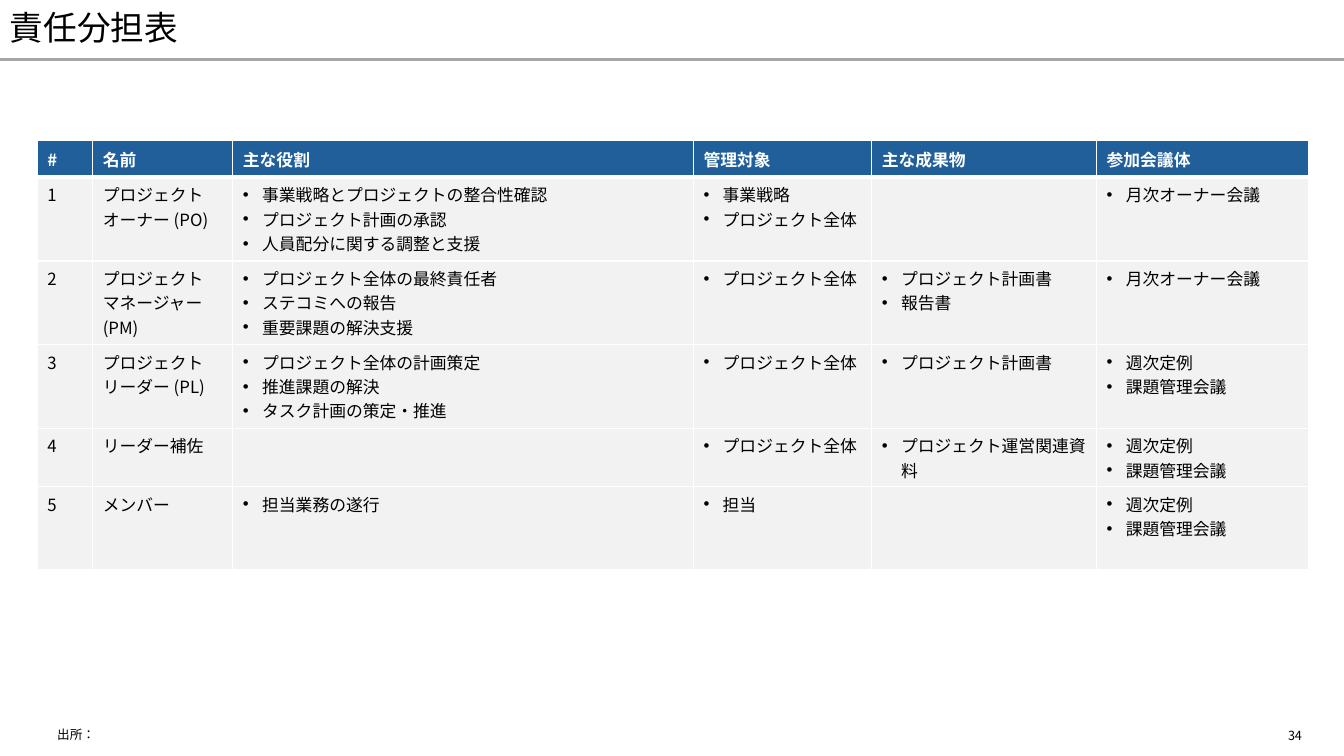
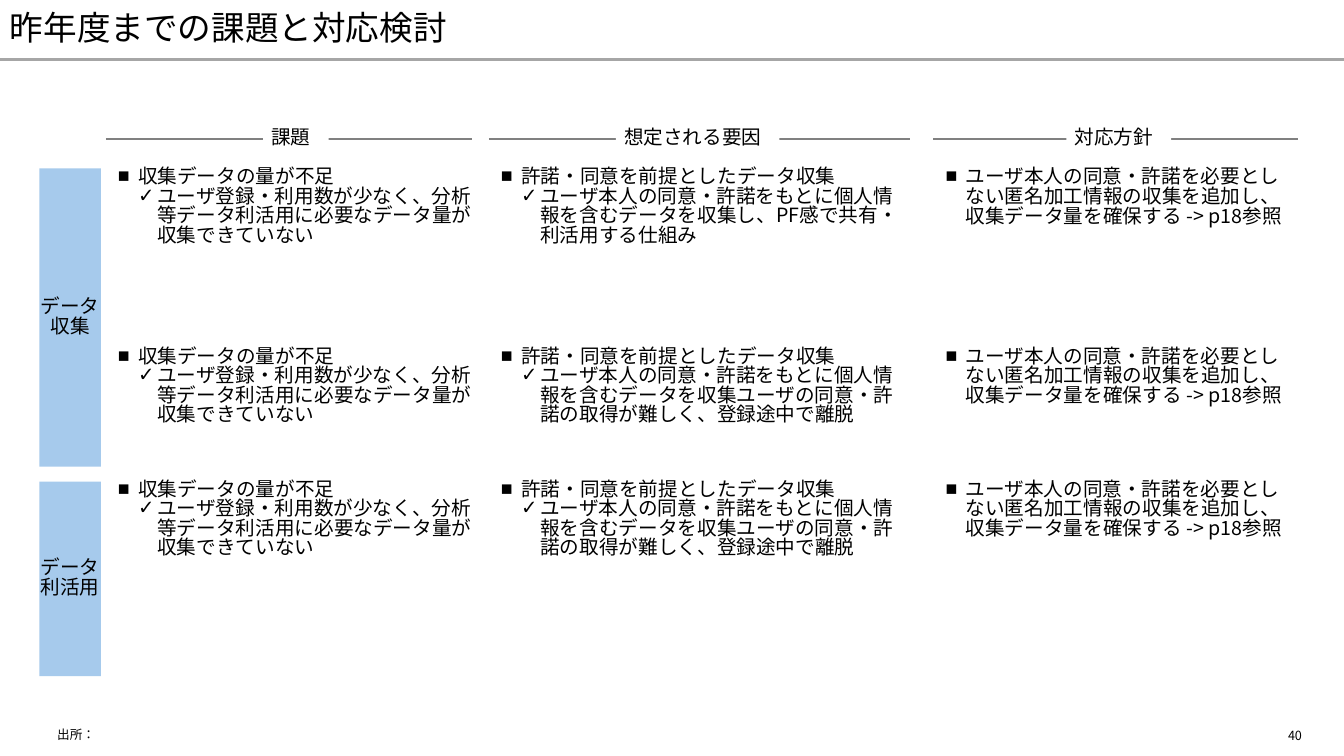
from lxml.etree import SubElement
from pptx import Presentation
from pptx.dml.color import RGBColor
from pptx.enum.shapes import MSO_CONNECTOR, MSO_SHAPE
from pptx.enum.text import MSO_ANCHOR, PP_ALIGN
from pptx.oxml.ns import qn
from pptx.util import Inches, Pt

COLORS = {
    "text": "000000",
    "white": "FFFFFF",
    "title_rule": "A6A6A6",
    "column_rule": "808080",
    "header": "215F9A",
    "cell": "F2F2F2",
    "category": "A6CAEC",
}
FONT = "Noto Sans CJK JP"
BULLET_FONT = "Arial"
# Left margin and hanging indent of each bullet, in percent of the slide width
BULLETS = {"•": (1.43, 1.43), "■": (1.5, 1.5), "✓": (2.93, 1.43)}
TIGHT = 0.83


def color(name):
    return RGBColor.from_string(COLORS[name])


class Deck:
    """Holds the style and the current page; lengths are percent of the slide size."""

    def __init__(self):
        self.presentation = Presentation()
        self.presentation.slide_width = Inches(13.333)
        self.presentation.slide_height = Inches(7.5)
        self.page = None

    def x(self, share):
        return round(self.presentation.slide_width * share / 100)

    def y(self, share):
        return round(self.presentation.slide_height * share / 100)

    def area(self, left, top, width, height):
        return self.x(left), self.y(top), self.x(width), self.y(height)

    def add_page(self, title, number):
        """Start a page with the shared title, rule and footer."""
        self.page = self.presentation.slides.add_slide(self.presentation.slide_layouts[6])
        self.line(0, 100, 7.87, "title_rule", 2.25)
        self.text((0, 0, 100, 7.87), [title], 24, spacing=0.9, anchor=MSO_ANCHOR.MIDDLE)
        self.text((3.52, 95.6, 82.65, 3.2), ["出所："], 9, anchor=MSO_ANCHOR.MIDDLE)
        self.text((95.1, 95.6, 4.4, 3.2), [number], 9)

    def add_bullet(self, paragraph, mark):
        margin, hanging = BULLETS[mark]
        properties = paragraph._p.get_or_add_pPr()
        properties.set("marL", str(self.x(margin)))
        properties.set("indent", str(-self.x(hanging)))
        SubElement(properties, qn("a:buFont")).set("typeface", BULLET_FONT)
        SubElement(properties, qn("a:buChar")).set("char", mark)

    def fill_text(self, frame, lines, size, fill="text", bold=False, align=None,
                  spacing=None, marks=""):
        """Write the lines as paragraphs; the last mark serves all further lines."""
        frame.text = "\n".join(lines)
        for index, paragraph in enumerate(frame.paragraphs):
            if spacing:
                paragraph.line_spacing = spacing
            if align is not None:
                paragraph.alignment = align
            if marks and lines:
                self.add_bullet(paragraph, marks[min(index, len(marks) - 1)])
            for span in paragraph.runs:
                span.font.size = Pt(size)
                span.font.bold = bold
                span.font.color.rgb = color(fill)
                span.font.name = FONT
                properties = span._r.get_or_add_rPr()
                properties.set("lang", "ja-JP")
                SubElement(properties, qn("a:ea")).set("typeface", FONT)

    def remove_insets(self, frame):
        frame.margin_left = frame.margin_right = 0
        frame.margin_top = frame.margin_bottom = 0

    def text(self, area, lines, size, anchor=MSO_ANCHOR.TOP, inset=True, **style):
        box = self.page.shapes.add_textbox(*self.area(*area))
        frame = box.text_frame
        frame.word_wrap = True
        frame.vertical_anchor = anchor
        if not inset:
            self.remove_insets(frame)
        self.fill_text(frame, lines, size, **style)

    def block(self, area, text, fill, align, wrap=True, left_inset=0):
        """Draw a filled rectangle with 14 point text."""
        box = self.page.shapes.add_shape(MSO_SHAPE.RECTANGLE, *self.area(*area))
        box.shadow.inherit = False
        box.fill.solid()
        box.fill.fore_color.rgb = color(fill)
        box.line.fill.background()
        frame = box.text_frame
        self.remove_insets(frame)
        frame.margin_left = self.x(left_inset)
        frame.word_wrap = wrap
        frame.vertical_anchor = MSO_ANCHOR.MIDDLE
        self.fill_text(frame, [text], 14, align=align, spacing=TIGHT)

    def line(self, left, right, top, fill, width):
        rule = self.page.shapes.add_connector(
            MSO_CONNECTOR.STRAIGHT, self.x(left), self.y(top), self.x(right), self.y(top))
        rule.line.color.rgb = color(fill)
        rule.line.width = Pt(width)
        SubElement(rule._element.spPr, qn("a:effectLst"))

    def cell_borders(self, cell, top, bottom):
        properties = cell._tc.get_or_add_tcPr()
        widths = {"a:lnL": 1, "a:lnR": 1, "a:lnT": top, "a:lnB": bottom}
        for position, (side, width) in enumerate(widths.items()):
            border = SubElement(properties, qn(side))
            border.set("w", str(Pt(width)))
            solid = SubElement(border, qn("a:solidFill"))
            SubElement(solid, qn("a:srgbClr")).set("val", COLORS["white"])
            properties.insert(position, border)

    def table(self, left, top, widths, heights, headers, rows):
        """Draw a table whose cells are lists of lines, bulleted from the third column."""
        area = self.area(left, top, sum(widths), sum(heights))
        table = self.page.shapes.add_table(len(heights), len(widths), *area).table
        for column, width in zip(table.columns, widths):
            column.width = self.x(width)
        for row, height in zip(table.rows, heights):
            row.height = self.y(height)
        for row_index, row in enumerate([[[header] for header in headers], *rows]):
            is_header = row_index == 0
            for column_index, lines in enumerate(row):
                cell = table.cell(row_index, column_index)
                cell.fill.solid()
                cell.fill.fore_color.rgb = color("header" if is_header else "cell")
                if is_header:
                    cell.vertical_anchor = MSO_ANCHOR.MIDDLE
                self.cell_borders(cell, 3 if row_index == 1 else 1, 3 if is_header else 1)
                self.fill_text(
                    cell.text_frame, lines, 12,
                    fill="white" if is_header else "text", bold=is_header,
                    marks="•" if column_index > 1 and not is_header else "")


def add_responsibility_page(deck):
    whole = ["プロジェクト全体"]
    plan = "プロジェクト計画書"
    owner_meeting = ["月次オーナー会議"]
    team_meetings = ["週次定例", "課題管理会議"]
    members = [
        (["プロジェクト", "オーナー (PO)"],
         ["事業戦略とプロジェクトの整合性確認", "プロジェクト計画の承認", "人員配分に関する調整と支援"],
         ["事業戦略", *whole], [], owner_meeting),
        (["プロジェクト", "マネージャー (PM)"],
         ["プロジェクト全体の最終責任者", "ステコミへの報告", "重要課題の解決支援"],
         whole, [plan, "報告書"], owner_meeting),
        (["プロジェクト", "リーダー (PL)"],
         ["プロジェクト全体の計画策定", "推進課題の解決", "タスク計画の策定・推進"],
         whole, [plan], team_meetings),
        (["リーダー補佐"], [], whole, ["プロジェクト運営関連資料"], team_meetings),
        (["メンバー"], ["担当業務の遂行"], ["担当"], [], team_meetings),
    ]
    deck.add_page("責任分担表", "34")
    deck.table(
        2.78, 18.53,
        widths=[4.12, 10.43, 34.27, 13.27, 16.73, 15.75],
        heights=[4.93, 11.07, 11.07, 11.07, 7.73, 10.93],
        headers=["#", "名前", "主な役割", "管理対象", "主な成果物", "参加会議体"],
        rows=[[[str(number)], *member] for number, member in enumerate(members, 1)])


def add_issue_page(deck):
    issue = ["収集データの量が不足",
             "ユーザ登録・利用数が少なく、分析等データ利活用に必要なデータ量が収集できていない"]
    consent = "許諾・同意を前提としたデータ収集"
    sharing = [consent, "ユーザ本人の同意・許諾をもとに個人情報を含むデータを収集し、PF感で共有・利活用する仕組み"]
    dropout = [consent, "ユーザ本人の同意・許諾をもとに個人情報を含むデータを収集ユーザの同意・許諾の取得が難しく、登録途中で離脱"]
    policy = ["ユーザ本人の同意・許諾を必要としない匿名加工情報の収集を追加し、収集データ量を確保する -> p18参照"]
    columns = [
        ("課題", 7.88, 35.15, 19.58),
        ("想定される要因", 36.38, 67.73, 45.83),
        ("対応方針", 69.45, 96.55, 79.35),
    ]
    rows = [
        (22.27, [issue, sharing, policy]),
        (46, [issue, dropout, policy]),
        (63.6, [issue, dropout, policy]),
    ]
    deck.add_page("昨年度までの課題と対応検討", "40")
    for name, top, height in [("データ収集", 22.27, 39.47), ("データ利活用", 63.7, 25.73)]:
        deck.block((2.93, top, 4.58, height), name, "category", PP_ALIGN.CENTER)
    for index, (heading, left, right, label_left) in enumerate(columns):
        deck.line(left, right, 18.4, "column_rule", 1.5)
        label_width = 1.95 + 1.46 * len(heading)
        deck.block((label_left, 16.8, label_width, 3.2), heading, "white", PP_ALIGN.LEFT,
                   wrap=False, left_inset=0.6)
        text_left = left + 0.9
        for top, entries in rows:
            lines = entries[index]
            height = 12.6 if len(lines) > 1 else 9.4
            deck.text((text_left, top, right - text_left, height), lines, 14,
                      inset=False, spacing=TIGHT, marks="■✓")


def main():
    deck = Deck()
    add_responsibility_page(deck)
    add_issue_page(deck)
    deck.presentation.save("out.pptx")


if __name__ == "__main__":
    main()
